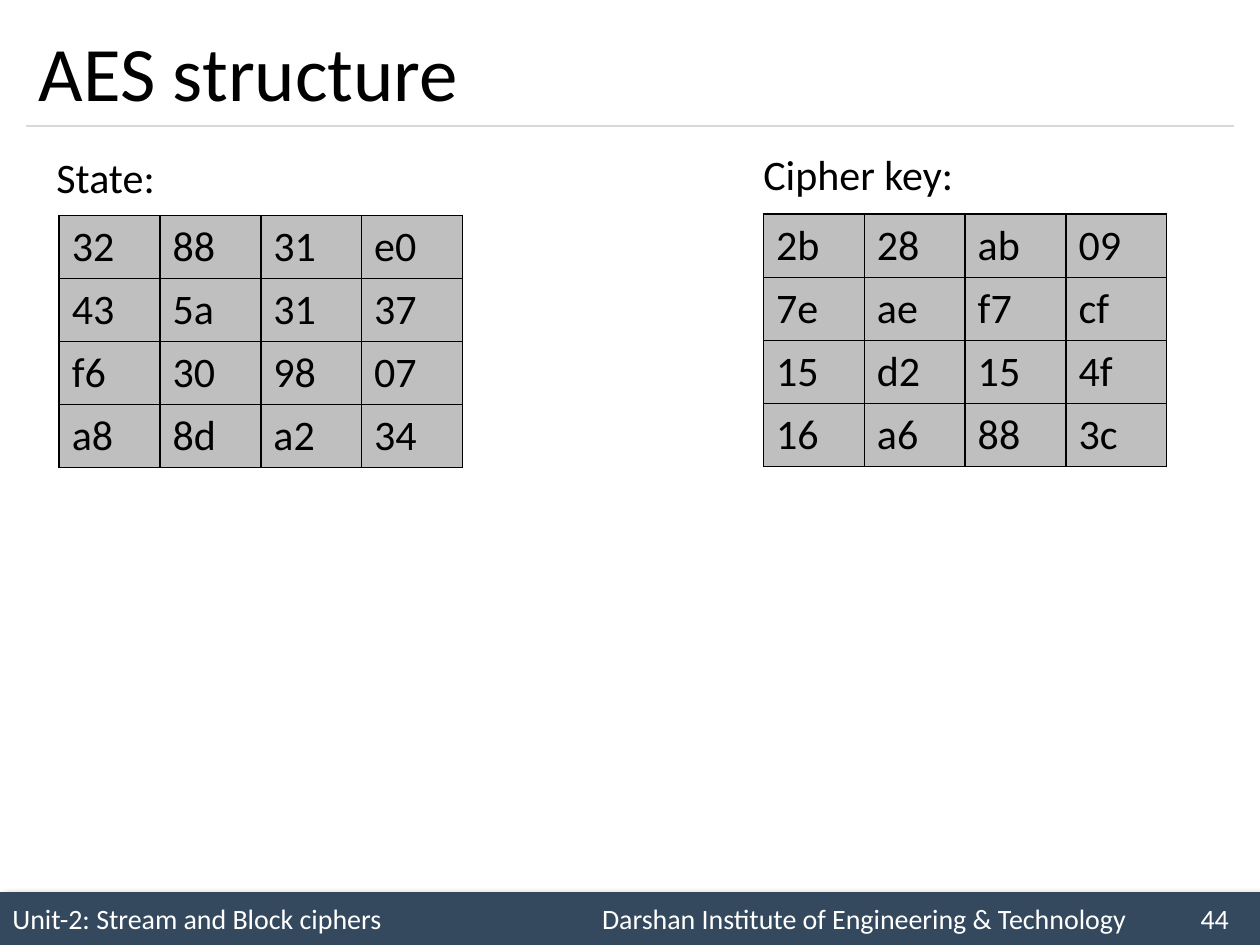
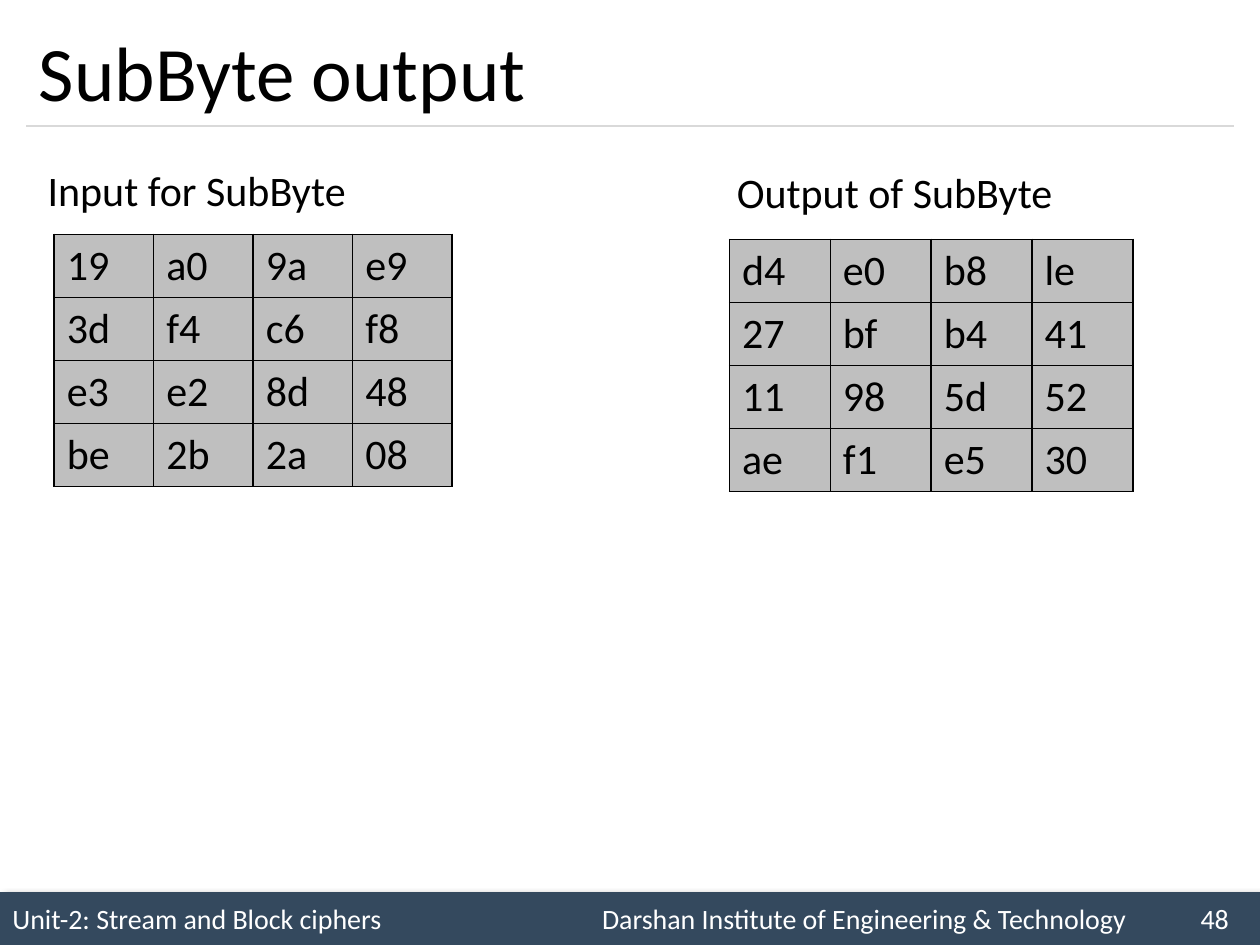
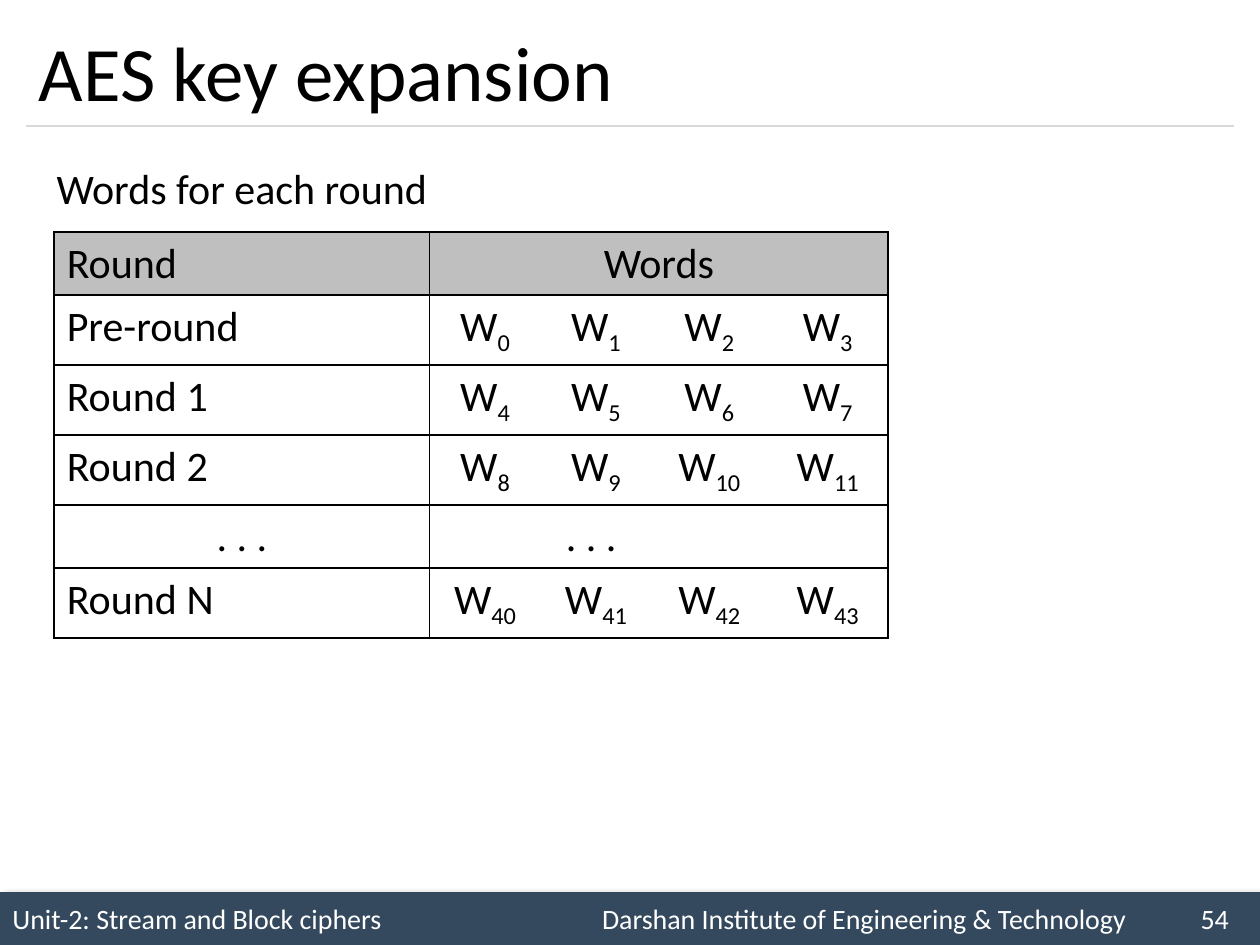
from dataclasses import dataclass

from lxml import etree
from pptx import Presentation
from pptx.dml.color import RGBColor
from pptx.enum.shapes import MSO_CONNECTOR, MSO_SHAPE
from pptx.enum.text import MSO_ANCHOR, PP_ALIGN
from pptx.oxml.ns import qn
from pptx.util import Emu, Inches, Pt

BLACK = RGBColor(0, 0, 0)
WHITE = RGBColor(255, 255, 255)
NAVY = RGBColor(0x34, 0x49, 0x5E)
GREY = RGBColor(0xBF, 0xBF, 0xBF)
PALE = RGBColor(0xD9, 0xD9, 0xD9)
FONT = "Calibri"
BODY = 24
MIDDLE = MSO_ANCHOR.MIDDLE
CENTER = PP_ALIGN.CENTER
LEFT = PP_ALIGN.LEFT
RECT = MSO_SHAPE.RECTANGLE
STRAIGHT = MSO_CONNECTOR.STRAIGHT
UNIT = "Unit-2: Stream and Block ciphers"
SCHOOL = "Darshan Institute of Engineering & Technology"
ROW = 0.5


@dataclass
class Label:
    text: str
    left: float
    top: float
    width: float


@dataclass
class Matrix:
    label: Label
    left: float
    top: float
    col: float
    rows: list[str]


@dataclass
class Page:
    title: str
    number: int
    grids: list[Matrix]


PAGES = [
    Page("AES structure", 44, [
        Matrix(Label("State:", 0.35, 1.15, 1.8), 0.47, 1.71, 0.8,
               ["32 88 31 e0", "43 5a 31 37", "f6 30 98 07", "a8 8d a2 34"]),
        Matrix(Label("Cipher key:", 5.96, 1.13, 1.8), 6.06, 1.7, 0.8,
               ["2b 28 ab 09", "7e ae f7 cf", "15 d2 15 4f", "16 a6 88 3c"]),
    ]),
    Page("SubByte output", 48, [
        Matrix(Label("Input for SubByte", 0.28, 1.26, 2.8), 0.43, 1.86, 0.79,
               ["19 a0 9a e9", "3d f4 c6 f8", "e3 e2 8d 48", "be 2b 2a 08"]),
        Matrix(Label("Output of SubByte", 5.75, 1.27, 2.8), 5.79, 1.9, 0.8,
               ["d4 e0 b8 le", "27 bf b4 41", "11 98 5d 52", "ae f1 e5 30"]),
    ]),
]

WORD_COLS = [2.98, 0.88, 0.88, 0.92, 0.96]
ROUNDS = [("Pre-round", 0), ("Round 1", 4), ("Round 2", 8),
          (". . .", None), ("Round N", 40)]


def style(par, size: float, color=BLACK, align=LEFT) -> None:
    par.alignment = align
    for run in par.runs:
        run.font.name = FONT
        run.font.size = Pt(size)
        run.font.color.rgb = color


def add_text(slide, label: Label, height: float = 0.5, size: float = BODY):
    box = slide.shapes.add_textbox(Inches(label.left), Inches(label.top),
                                   Inches(label.width), Inches(height))
    frame = box.text_frame
    frame.word_wrap = True
    frame.text = label.text
    style(frame.paragraphs[0], size)
    return frame


def add_footer(slide, number: int) -> None:
    band = slide.shapes.add_shape(RECT, 0, Inches(7.08), Inches(10), Inches(0.42))
    band.fill.solid()
    band.fill.fore_color.rgb = NAVY
    band.line.fill.background()
    band.shadow.inherit = False
    effects = band._element.spPr.find(qn("a:effectLst"))
    shade = etree.SubElement(effects, qn("a:outerShdw"), blurRad=str(Pt(4)),
                             dist=str(Pt(3)), dir="2700000", rotWithShape="0")
    tint = etree.SubElement(shade, qn("a:srgbClr"), val=str(BLACK))
    etree.SubElement(tint, qn("a:alpha"), val="40000")
    frame = band.text_frame
    frame.vertical_anchor = MIDDLE
    frame.text = f"{UNIT}\t{SCHOOL}\t{number}"
    par = frame.paragraphs[0]
    stops = etree.SubElement(par._p.get_or_add_pPr(), qn("a:tabLst"))
    for stop in (4.68, 9.43):
        etree.SubElement(stops, qn("a:tab"), pos=str(Inches(stop)), algn="l")
    style(par, 16, WHITE)


def add_frame(deck, title: str, number: int):
    """Add a slide with the shared footer, rule and title."""
    slide = deck.slides.add_slide(deck.slide_layouts[6])
    add_footer(slide, number)
    rule = slide.shapes.add_connector(STRAIGHT, Inches(0.21), Inches(1),
                                      Inches(9.79), Inches(1))
    rule.line.color.rgb = PALE
    rule.line.width = Pt(0.75)
    etree.SubElement(rule._element.spPr, qn("a:effectLst"))
    head = add_text(slide, Label(title, 0.21, 0.12, 9.58), 0.88, 44)
    head.vertical_anchor = MIDDLE
    return slide


def add_grid(slide, left: float, top: float, cols: list[float], count: int):
    shape = slide.shapes.add_table(count, len(cols), Inches(left), Inches(top),
                                   Inches(sum(cols)), Inches(ROW * count))
    table = shape.table
    table.first_row = False
    table.horz_banding = False
    for col, width in zip(table.columns, cols):
        col.width = Inches(width)
    return table


def fill_cell(cell, text: str, fill=None, align=LEFT, sides: str = "LRTB") -> None:
    """Write a cell; an underscore starts a subscript, sides names its borders."""
    props = cell._tc.get_or_add_tcPr()
    for side in "LRTB":
        edge = etree.SubElement(props, qn(f"a:ln{side}"), w=str(Pt(1)))
        if side in sides:
            paint = etree.SubElement(edge, qn("a:solidFill"))
            etree.SubElement(paint, qn("a:srgbClr"), val=str(BLACK))
        else:
            etree.SubElement(edge, qn("a:noFill"))
    if fill is None:
        cell.fill.background()
    else:
        cell.fill.solid()
        cell.fill.fore_color.rgb = fill
    base, _, sub = text.partition("_")
    par = cell.text_frame.paragraphs[0]
    par.text = base
    if sub:
        run = par.add_run()
        run.text = sub
        run.font._element.set("baseline", "-25000")
    style(par, BODY, align=align)


def add_matrix(slide, grid: Matrix) -> None:
    rows = [row.split() for row in grid.rows]
    table = add_grid(slide, grid.left, grid.top, [grid.col] * len(rows[0]), len(rows))
    for r, row in enumerate(rows):
        for c, text in enumerate(row):
            fill_cell(table.cell(r, c), text, GREY)
    add_text(slide, grid.label)


def add_rounds(slide) -> None:
    table = add_grid(slide, 0.43, 1.84, WORD_COLS, len(ROUNDS) + 1)
    last = len(WORD_COLS) - 1
    table.cell(0, 1).merge(table.cell(0, last))
    fill_cell(table.cell(0, 0), "Round", GREY)
    fill_cell(table.cell(0, 1), "Words", GREY, CENTER)
    for c in range(2, last + 1):
        fill_cell(table.cell(0, c), "", GREY)
    for r, (name, start) in enumerate(ROUNDS, 1):
        gap = start is None
        fill_cell(table.cell(r, 0), name, align=CENTER if gap else LEFT)
        words = ["", ". . . ", "", ""] if gap else [f"W_{start + n}" for n in range(4)]
        for c, word in enumerate(words, 1):
            sides = "TB" + "L" * (c == 1) + "R" * (c == last)
            fill_cell(table.cell(r, c), word, align=CENTER, sides=sides)
    add_text(slide, Label("Words for each round", 0.35, 1.24, 3.25))


def main() -> None:
    deck = Presentation()
    deck.slide_width = Emu(Inches(10))
    deck.slide_height = Emu(Inches(7.5))
    for page in PAGES:
        slide = add_frame(deck, page.title, page.number)
        for grid in page.grids:
            add_matrix(slide, grid)
    add_rounds(add_frame(deck, "AES key expansion", 54))
    deck.save("out.pptx")


if __name__ == "__main__":
    main()
